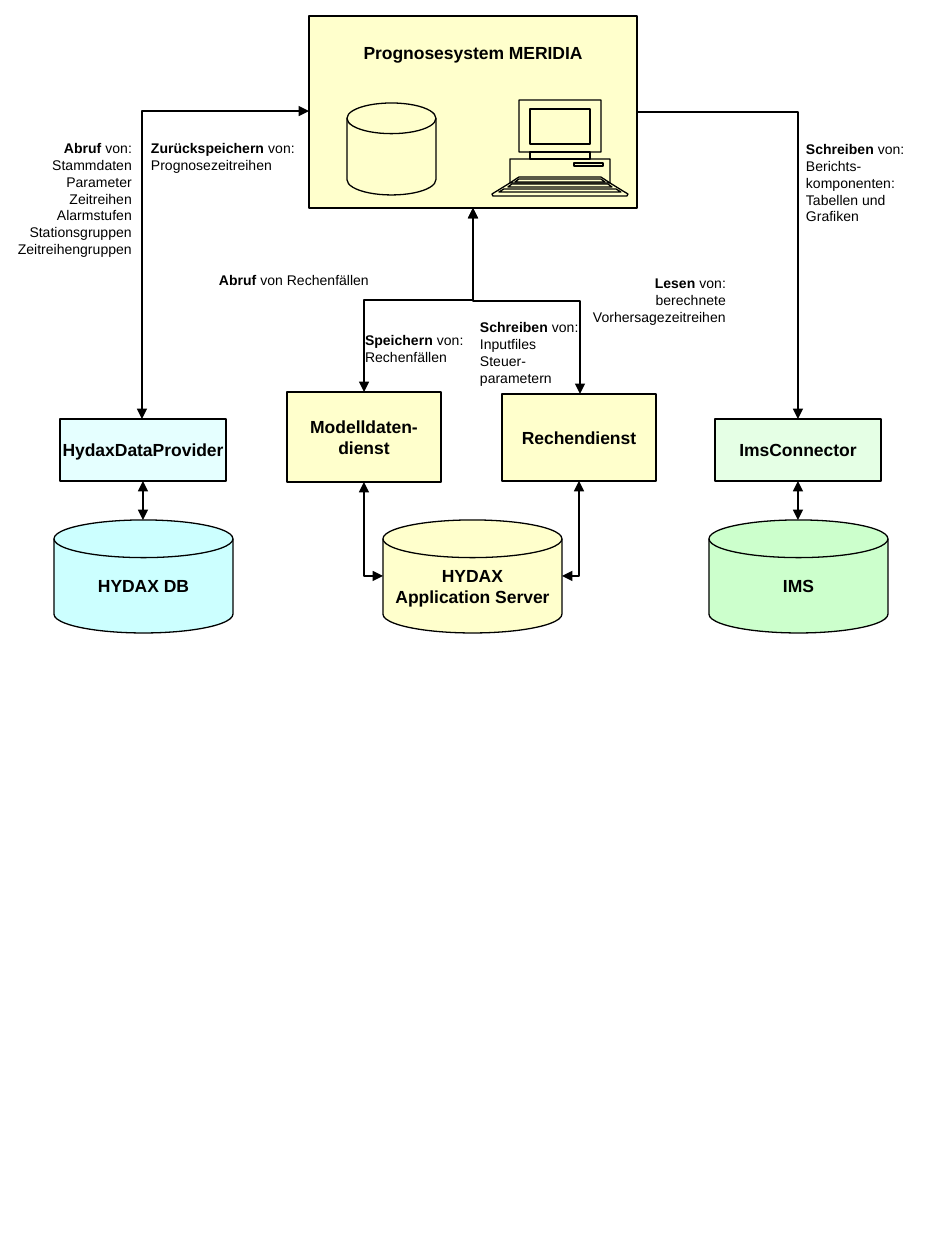
from pptx import Presentation
from pptx import util as u
from pptx.dml.color import RGBColor
from pptx.enum import shapes, text
from pptx.oxml.ns import qn
from lxml import etree

PX = 914400 / 126
BLACK = RGBColor(0, 0, 0)
YELLOW = RGBColor(0xFF, 0xFF, 0xCC)
CYAN = RGBColor(0xCC, 0xFF, 0xFF)
GREEN = RGBColor(0xCC, 0xFF, 0xCC)
BOX = shapes.MSO_SHAPE.FLOWCHART_PROCESS
DISK = shapes.MSO_SHAPE.FLOWCHART_MAGNETIC_DISK
LEFT, CENTER, RIGHT = text.PP_ALIGN.LEFT, text.PP_ALIGN.CENTER, text.PP_ALIGN.RIGHT


def px(*lengths):
    return [u.Emu(round(length * PX)) for length in lengths]


def style(shape, color, alpha=None):
    shape.shadow.inherit = False
    shape.fill.solid()
    shape.fill.fore_color.rgb = color
    shape.line.color.rgb = BLACK
    shape.line.width = u.Pt(0.75)
    if alpha:
        srgb = shape._element.spPr.find(qn("a:solidFill")).find(qn("a:srgbClr"))
        etree.SubElement(srgb, qn("a:alpha")).set("val", str(alpha * 1000))


def format_paragraph(paragraph, size, align, bold=None):
    paragraph.alignment = align
    font = paragraph.font
    font.name, font.size, font.bold = "Arial", u.Pt(size), bold
    font.color.rgb = BLACK


def node(slide, kind, box, color, lines=(), alpha=None):
    shape = slide.shapes.add_shape(kind, *px(*box))
    style(shape, color, alpha)
    frame = shape.text_frame
    frame.word_wrap = False
    frame.vertical_anchor = text.MSO_ANCHOR.MIDDLE
    for i, line in enumerate(lines):
        paragraph = frame.add_paragraph() if i else frame.paragraphs[0]
        paragraph.text = line
        format_paragraph(paragraph, 10, CENTER, True)
    return shape


def label(slide, box, heading, rest, lines=(), align=LEFT):
    """Text whose first line starts with a bold heading."""
    frame = slide.shapes.add_textbox(*px(*box)).text_frame
    frame.word_wrap = True
    frame.margin_left, frame.margin_right = px(2, 2)
    frame.margin_top, frame.margin_bottom = px(1, 1)
    first = frame.paragraphs[0]
    bold_run = first.add_run()
    bold_run.text, bold_run.font.bold = heading, True
    first.add_run().text = " " + rest
    for line in lines:
        frame.add_paragraph().text = line
    for paragraph in frame.paragraphs:
        format_paragraph(paragraph, 8, align)


def arrow(slide, kind, start, end, both=True):
    link = slide.shapes.add_connector(kind, *px(*start, *end))
    link.line.color.rgb = BLACK
    link.line.width = u.Pt(0.75)
    line = link.line._get_or_add_ln()
    for tag in ("a:headEnd", "a:tailEnd") if both else ("a:tailEnd",):
        etree.SubElement(line, qn(tag)).set("type", "triangle")
    etree.SubElement(link._element.spPr, qn("a:effectLst"))
    return link


def corner_arrow(slide, start, end, both=True):
    """One bend: runs sideways first, then up or down."""
    link = arrow(slide, shapes.MSO_CONNECTOR.ELBOW, start, end, both)
    link._element.spPr.find(qn("a:prstGeom")).set("prst", "bentConnector2")


def step_arrow(slide, start, end):
    """Two bends: runs down, sideways and down, as a quarter-turned elbow."""
    (x1, y1), (x2, y2) = start, end
    mid_x, mid_y = (x1 + x2) / 2, (y1 + y2) / 2
    half_w, half_h = (x2 - x1) / 2, (y2 - y1) / 2
    link = arrow(slide, shapes.MSO_CONNECTOR.ELBOW,
                 (mid_x - half_h, mid_y + half_w), (mid_x + half_h, mid_y - half_w))
    link._element.spPr.find(qn("a:xfrm")).set("rot", "5400000")


def computer(slide, left, top):
    """Desktop computer, 136 px wide; points are offsets from its middle axis."""
    axis = 68
    right_side = [(41, 0), (41, 52), (30, 52), (30, 59), (50, 59), (50, 83),
                  (63, 91), (68, 94), (67, 96)]
    outline = right_side + [(-x, y) for x, y in reversed(right_side)]
    # half width at top and bottom, top, bottom: keyboard rows, screen, neck
    bands = [(41, 50, 77, 83), (41, 45, 79, 82), (48, 52, 84, 87), (56, 61, 89, 92),
             (30, 30, 9, 44), (30, 30, 52, 59)]
    contours = [[(-a, y1), (a, y1), (b, y2), (-b, y2)] for a, b, y1, y2 in bands]
    drive_slot = [(14, 63), (43, 63), (43, 66), (14, 66)]
    builder = slide.shapes.build_freeform(axis + outline[0][0], outline[0][1], scale=PX)
    builder.add_line_segments([(axis + x, y) for x, y in outline[1:]])
    for contour in contours + [drive_slot]:
        points = [(axis + x, y) for x, y in contour]
        builder.move_to(*points[0])
        builder.add_line_segments(points[1:])
    style(builder.convert_to_shape(*px(left, top)), YELLOW)


def forecast_system(slide, left, top, width, height):
    system = node(slide, BOX, (left, top, width, height), YELLOW,
                  ["Prognosesystem MERIDIA"])
    system.text_frame.vertical_anchor = text.MSO_ANCHOR.TOP
    system.text_frame.margin_top = px(26)[0]
    computer(slide, left + 183, top + 84)
    node(slide, DISK, (left + 38, top + 87, 89, 92), YELLOW)


def data_store(slide, left, top, color, service, store):
    """Service box above the database it talks to."""
    service_box = node(slide, BOX, (left + 6, top, 166, 62), color, [service], alpha=50)
    node(slide, DISK, (left, top + 101, 179, 113), color, [store])
    axis = left + 89
    link = arrow(slide, shapes.MSO_CONNECTOR.STRAIGHT, (axis, top + 62), (axis, top + 101))
    link.begin_connect(service_box, 2)


def application_server(slide, left, top):
    """Two services above the server they share."""
    node(slide, DISK, (left + 96, top + 128, 179, 113), YELLOW,
         ["HYDAX", "Application Server"])
    node(slide, BOX, (left + 215, top + 2, 154, 87), YELLOW, ["Rechendienst"])
    node(slide, BOX, (left, top, 154, 90), YELLOW, ["Modelldaten-", "dienst"])
    corner_arrow(slide, (left + 96, top + 184), (left + 77, top + 90))
    corner_arrow(slide, (left + 275, top + 184), (left + 292, top + 89))


def data_flows(slide):
    corner_arrow(slide, (638, 112), (798, 419), both=False)
    corner_arrow(slide, (309, 111), (142, 419))
    for end in ((580, 394), (364, 392)):
        step_arrow(slide, (473, 208), end)

    label(slide, (-19, 139, 153, 137), "Abruf", "von:",
          ["Stammdaten", "Parameter", "Zeitreihen", "Alarmstufen",
           "Stationsgruppen", "Zeitreihengruppen"], RIGHT)
    label(slide, (149, 139, 152, 36), "Zurückspeichern", "von:", ["Prognosezeitreihen"])
    label(slide, (217, 271, 160, 36), "Abruf", "von Rechenfällen")
    label(slide, (363, 331, 110, 36), "Speichern", "von:", ["Rechenfällen"])
    label(slide, (804, 140, 136, 87), "Schreiben", "von:",
          ["Berichts-komponenten:", "Tabellen und Grafiken"])
    label(slide, (562, 274, 166, 53), "Lesen", "von:",
          ["berechnete Vorhersagezeitreihen"], RIGHT)
    label(slide, (478, 318, 108, 70), "Schreiben", "von:",
          ["Inputfiles", "Steuer-", "parametern"])


def main():
    deck = Presentation()
    deck.slide_width, deck.slide_height = px(945, 1260)
    slide = deck.slides.add_slide(deck.slide_layouts[6])
    forecast_system(slide, 309, 16, 328, 192)
    data_store(slide, 54, 419, CYAN, "HydaxDataProvider", "HYDAX DB")
    data_store(slide, 709, 419, GREEN, "ImsConnector", "IMS")
    application_server(slide, 287, 392)
    data_flows(slide)
    deck.save("out.pptx")


if __name__ == "__main__":
    main()
